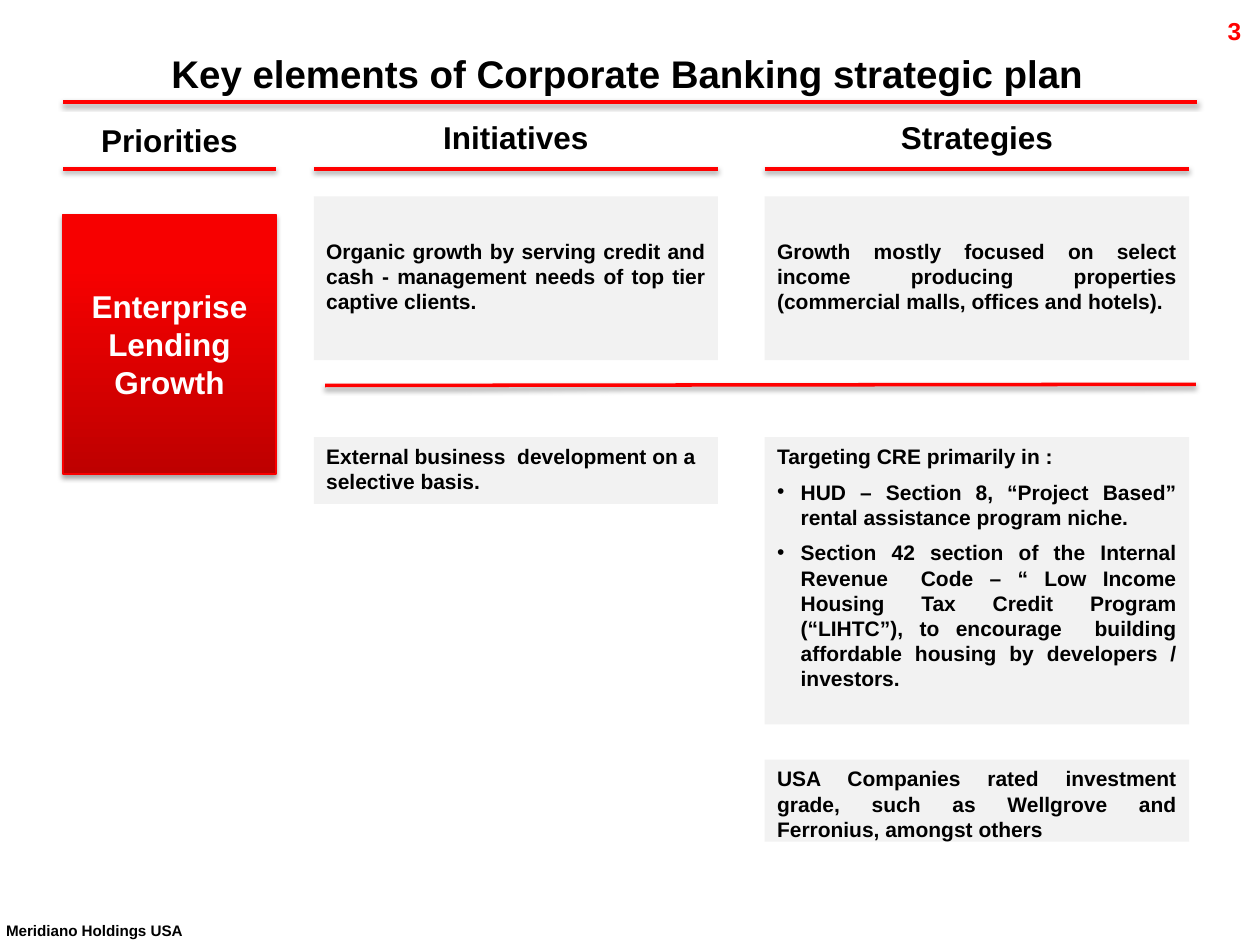
from collections import namedtuple

from lxml import etree
from pptx import Presentation
from pptx.dml.color import RGBColor
from pptx.enum import shapes, text
from pptx.oxml import ns
from pptx.util import Pt

RED = RGBColor(0xFF, 0x00, 0x00)
BRIGHT_RED = RGBColor(0xF7, 0x00, 0x00)
DARK_RED = RGBColor(0xBE, 0x00, 0x00)
EDGE_RED = RGBColor(0xF9, 0x00, 0x00)
GREY = RGBColor(0xF2, 0xF2, 0xF2)
BLACK = RGBColor(0x00, 0x00, 0x00)
WHITE = RGBColor(0xFF, 0xFF, 0xFF)

LEFT, CENTER, RIGHT, JUSTIFY = (
    text.PP_ALIGN.LEFT, text.PP_ALIGN.CENTER,
    text.PP_ALIGN.RIGHT, text.PP_ALIGN.JUSTIFY)
TOP, MIDDLE, BOTTOM = (
    text.MSO_ANCHOR.TOP, text.MSO_ANCHOR.MIDDLE, text.MSO_ANCHOR.BOTTOM)

Box = namedtuple("Box", "x y w h")
Item = namedtuple("Item", "text align bullet", defaults=(JUSTIFY, False))

RULE_Y = 96.5
BULLET_INDENT = 13.5


def add_shadow(spPr, opacity, dist):
    effects = spPr.find(ns.qn("a:effectLst"))
    if effects is None:
        effects = etree.SubElement(spPr, ns.qn("a:effectLst"))
    shadow = etree.SubElement(
        effects, ns.qn("a:outerShdw"), blurRad=str(Pt(3.1)),
        dist=str(Pt(dist)), dir="5400000", rotWithShape="0")
    color = etree.SubElement(shadow, ns.qn("a:srgbClr"), val=str(BLACK))
    etree.SubElement(color, ns.qn("a:alpha"), val=str(opacity * 1000))


def add_rule(s, x1, y1, x2, y2):
    line = s.shapes.add_connector(
        shapes.MSO_CONNECTOR.STRAIGHT, Pt(x1), Pt(y1), Pt(x2), Pt(y2))
    line.line.color.rgb = RED
    line.line.width = Pt(2)
    add_shadow(line._element.spPr, 38, 1.6)


def add_run(p, words, size, color):
    r = p.add_run()
    r.text = words
    r.font.name = "Arial"
    r.font.size = Pt(size)
    r.font.bold = True
    r.font.color.rgb = color
    return r


def add_label(s, box, words, size, color=BLACK, align=CENTER, anchor=TOP):
    tb = s.shapes.add_textbox(*map(Pt, box))
    tf = tb.text_frame
    tf.word_wrap = True
    tf.vertical_anchor = anchor
    p = tf.paragraphs[0]
    p.alignment = align
    return tf, add_run(p, words, size, color)


def add_rect(s, box):
    sp = s.shapes.add_shape(shapes.MSO_SHAPE.RECTANGLE, *map(Pt, box))
    sp.shadow.inherit = False
    sp.text_frame.word_wrap = True
    return sp


def add_bullet(p):
    pPr = p._p.get_or_add_pPr()
    pPr.set("marL", str(Pt(BULLET_INDENT)))
    pPr.set("indent", str(-Pt(BULLET_INDENT)))
    etree.SubElement(pPr, ns.qn("a:buFont"), typeface="Arial")
    etree.SubElement(pPr, ns.qn("a:buChar"), char="•")


def add_title(s, box):
    tf, _ = add_label(
        s, box, "Key elements of Corporate Banking strategic plan", 22,
        align=LEFT, anchor=BOTTOM)
    tf.margin_left = Pt(62)
    bottom = box.y + box.h
    add_rule(s, box.x, bottom, box.x + box.w, bottom)


def add_page_number(s, box):
    tf, _ = add_label(s, box, "3", 14, RED, RIGHT)
    tf.margin_left = tf.margin_right = Pt(4.3)


def add_footer(s, box):
    _, r = add_label(
        s, box, "Meridiano Holdings USA", 15, align=LEFT, anchor=MIDDLE)
    r._r.get_or_add_rPr().set("baseline", "30000")


def add_heading(s, box, words):
    add_label(s, box, words, 18)
    add_rule(s, box.x, RULE_Y, box.x + box.w, RULE_Y)


def add_priority(s, box, words):
    sp = add_rect(s, box)
    sp.fill.gradient()
    sp.fill.gradient_angle = 90
    stops = zip(sp.fill.gradient_stops, (DARK_RED, BRIGHT_RED), (0, 0.8))
    for stop, color, position in stops:
        stop.color.rgb = color
        stop.position = position
    sp.line.color.rgb = EDGE_RED
    sp.line.width = Pt(0.75)
    add_shadow(sp._element.spPr, 35, 1.8)
    tf = sp.text_frame
    tf.vertical_anchor = MIDDLE
    p = tf.paragraphs[0]
    p.alignment = CENTER
    add_run(p, words, 18, WHITE)


def add_panel(s, box, items, top_inset=3.6):
    sp = add_rect(s, box)
    sp.fill.solid()
    sp.fill.fore_color.rgb = GREY
    sp.line.fill.background()
    tf = sp.text_frame
    tf.vertical_anchor = TOP
    tf.margin_top = Pt(top_inset)
    for i, item in enumerate(items):
        p = tf.add_paragraph() if i else tf.paragraphs[0]
        p.alignment = item.align
        p.space_after = Pt(6)
        if item.bullet:
            add_bullet(p)
        add_run(p, item.text, 12, BLACK)


def add_priorities(s, box):
    add_heading(s, Box(box.x, box.y + 1.4, box.w, 29), "Priorities")
    add_priority(s, Box(box.x, box.y + 58.3, box.w, 148.5),
                 "Enterprise Lending Growth")


def add_column(s, box, heading, panels):
    add_heading(s, Box(box.x, box.y, box.w, 29), heading)
    for dy, height, inset, items in panels:
        add_panel(s, Box(box.x, box.y + dy, box.w, height), items, inset)


INITIATIVES = [
    (48.2, 93.6, 24, [Item(
        "Organic growth by serving credit and cash - management needs of "
        "top tier captive clients.")]),
    (185.7, 38.2, 3.6, [Item(
        "External business  development on a selective basis.", LEFT)]),
]
STRATEGIES = [
    (48.2, 93.6, 24, [Item(
        "Growth mostly focused on select income producing properties "
        "(commercial malls, offices and hotels).")]),
    (185.7, 164.2, 3.6, [
        Item("Targeting CRE primarily in :", LEFT),
        Item("HUD – Section 8, “Project Based” rental assistance program "
             "niche.", bullet=True),
        Item("Section 42 section of the Internal Revenue  Code – “ Low "
             "Income Housing Tax Credit Program (“LIHTC”), to encourage  "
             "building affordable housing by developers / investors.",
             bullet=True)]),
    (370, 46.8, 3.6, [Item(
        "USA Companies rated investment grade, such as Wellgrove and "
        "Ferronius, amongst others")]),
]


def main():
    prs = Presentation()
    prs.slide_width, prs.slide_height = Pt(720), Pt(540)
    s = prs.slides.add_slide(prs.slide_layouts[6])
    add_page_number(s, Box(687.6, 5.8, 26, 24.5))
    add_title(s, Box(36, 24.5, 648, 33.8))
    add_priorities(s, Box(36, 64.1, 121.7, 210))
    add_column(s, Box(179.3, 64.1, 231, 420), "Initiatives", INITIATIVES)
    add_column(s, Box(437, 64.1, 242.6, 420), "Strategies", STRATEGIES)
    add_rule(s, 185.8, 220.3, 683.3, 219.6)
    add_footer(s, Box(-3.6, 521.3, 137.5, 25.2))
    prs.save("out.pptx")


if __name__ == "__main__":
    main()
